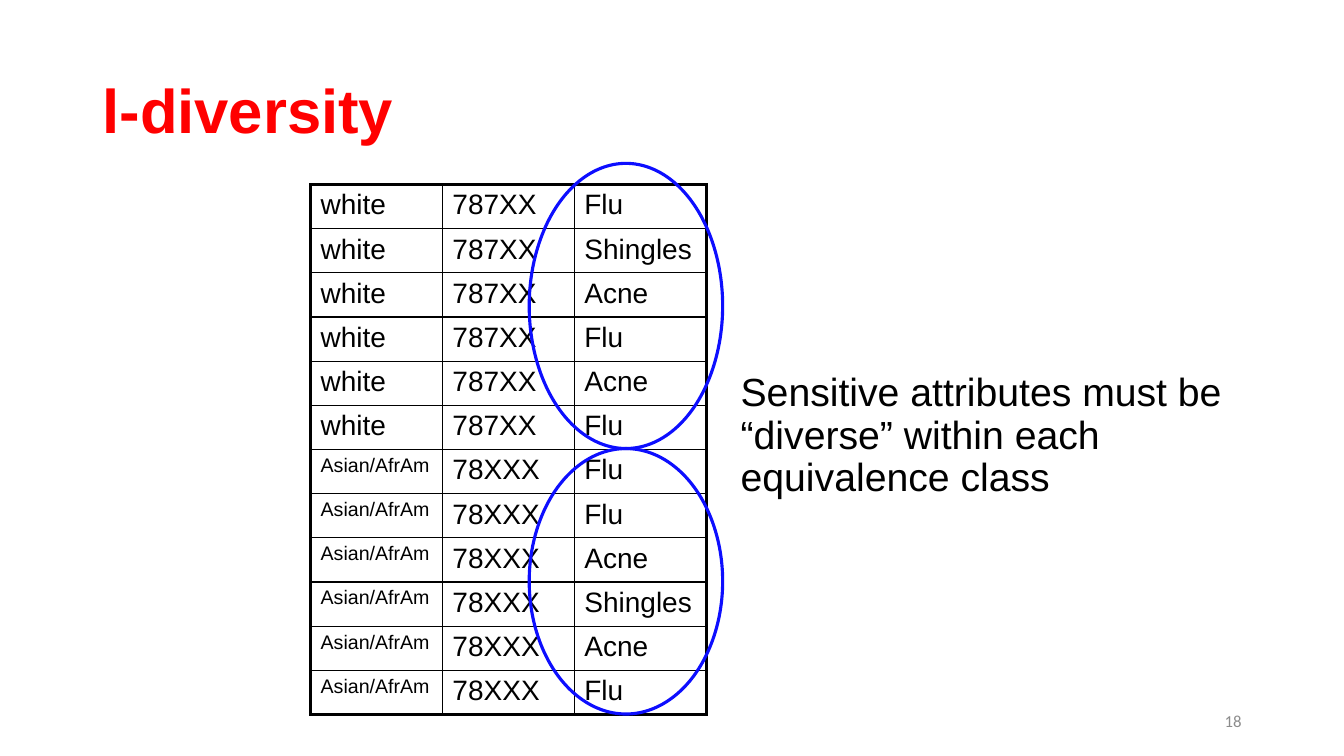
import pptx
import pptx.dml.color
import pptx.enum.shapes
import pptx.enum.text
import pptx.oxml
import pptx.oxml.ns
import pptx.util

Pt = pptx.util.Pt
Align = pptx.enum.text.PP_ALIGN
Anchor = pptx.enum.text.MSO_ANCHOR

COLORS = {"title": "FF0000", "text": "000000", "ring": "0D0EFF", "number": "8C8C8C"}
THIN, THICK = 1, 2.25


def rgb(name):
    return pptx.dml.color.RGBColor.from_string(COLORS[name])


class SlideBuilder:
    font = "Arial"

    def __init__(self, presentation):
        self.slide = presentation.slides.add_slide(presentation.slide_layouts[5])

    def fill_text(self, text_frame, text, size, color="text", bold=False, font=None,
                  spacing=None, align=Align.LEFT):
        text_frame.text = text
        for paragraph in text_frame.paragraphs:
            paragraph.alignment = align
            paragraph.line_spacing = spacing
            for run in paragraph.runs:
                run.font.name = font or self.font
                run.font.size = Pt(size)
                run.font.bold = bold
                run.font.color.rgb = rgb(color)

    def title(self, text, left, top, width, height):
        shape = self.slide.shapes.title
        shape.left, shape.top, shape.width, shape.height = map(Pt, (left, top, width, height))
        shape.text_frame.vertical_anchor = Anchor.MIDDLE
        self.fill_text(shape.text_frame, text, 44, "title", bold=True, spacing=0.9)

    def text(self, text, left, top, width, height, size, anchor=Anchor.TOP, **style):
        shape = self.slide.shapes.add_textbox(Pt(left), Pt(top), Pt(width), Pt(height))
        shape.text_frame.word_wrap = True
        shape.text_frame.vertical_anchor = anchor
        self.fill_text(shape.text_frame, text, size, **style)

    def border(self, cell, side, width):
        line = pptx.oxml.parse_xml(
            f'<a:ln{side} {pptx.oxml.ns.nsdecls("a")} w="{Pt(width)}"><a:solidFill>'
            f'<a:srgbClr val="{COLORS["text"]}"/></a:solidFill></a:ln{side}>')
        cell._tc.get_or_add_tcPr().append(line)

    def table(self, rows, left, top, width, height):
        row_count, column_count = len(rows), len(rows[0])
        table = self.slide.shapes.add_table(
            row_count, column_count, Pt(left), Pt(top), Pt(width), Pt(height)).table
        table.first_row = table.horz_banding = False
        for row_index, values in enumerate(rows):
            for column_index, value in enumerate(values):
                cell = table.cell(row_index, column_index)
                self.fill_text(cell.text_frame, value, 14 if "/" in value else 20)
                outer_edges = {
                    "L": column_index == 0,
                    "R": column_index == column_count - 1,
                    "T": row_index == 0,
                    "B": row_index == row_count - 1,
                }
                for side, is_outer in outer_edges.items():
                    self.border(cell, side, THICK if is_outer else THIN)
                cell.fill.background()

    def ring(self, left, top, width, height):
        shape = self.slide.shapes.add_shape(
            pptx.enum.shapes.MSO_SHAPE.OVAL, Pt(left), Pt(top), Pt(width), Pt(height))
        shape.shadow.inherit = False
        shape.fill.background()
        shape.line.color.rgb = rgb("ring")
        shape.line.width = Pt(THICK)


def main():
    presentation = pptx.Presentation()
    presentation.slide_width, presentation.slide_height = Pt(960), Pt(540)
    builder = SlideBuilder(presentation)
    builder.title("l-diversity", 66, 28.75, 828, 104.4)

    classes = [
        ("white", "787XX", ["Flu", "Shingles", "Acne", "Flu", "Acne", "Flu"]),
        ("Asian/AfrAm", "78XXX", ["Flu", "Flu", "Acne", "Shingles", "Acne", "Flu"]),
    ]
    rows = [(race, code, disease) for race, code, diseases in classes for disease in diseases]
    builder.table(rows, 221.8, 131.8, 282.6, 378.8)

    for top, height in ((116.7, 203.7), (320.4, 189.6)):
        builder.ring(378, top, 138.2, height)

    builder.text("Sensitive attributes must be\n“diverse” within each\nequivalence class",
                 522, 262.8, 372.2, 98.6, 28, spacing=0.9)
    builder.text("18", 678, 500.5, 216, 28.75, 12, anchor=Anchor.MIDDLE,
                 color="number", font="Calibri", align=Align.RIGHT)
    presentation.save("out.pptx")


if __name__ == "__main__":
    main()
